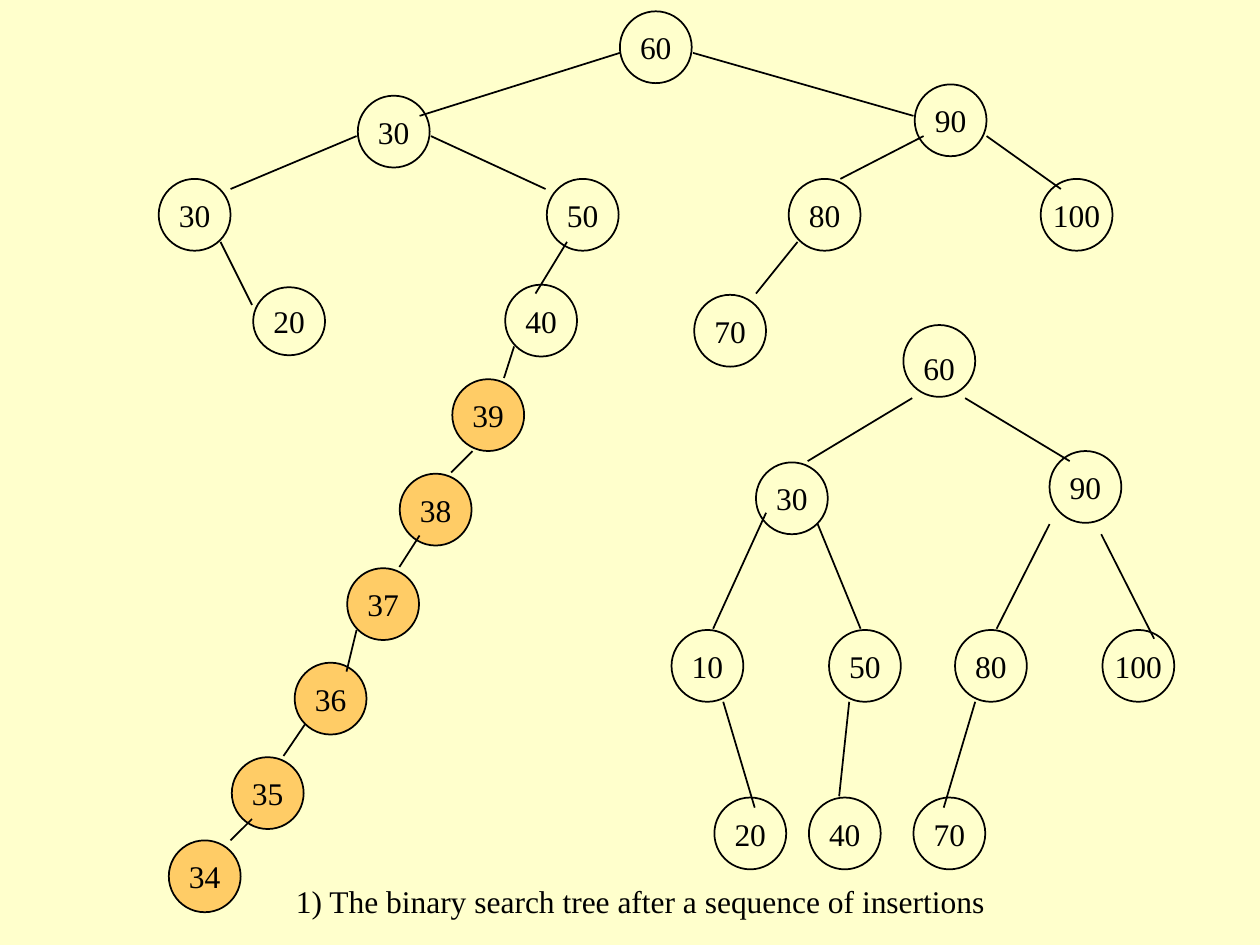
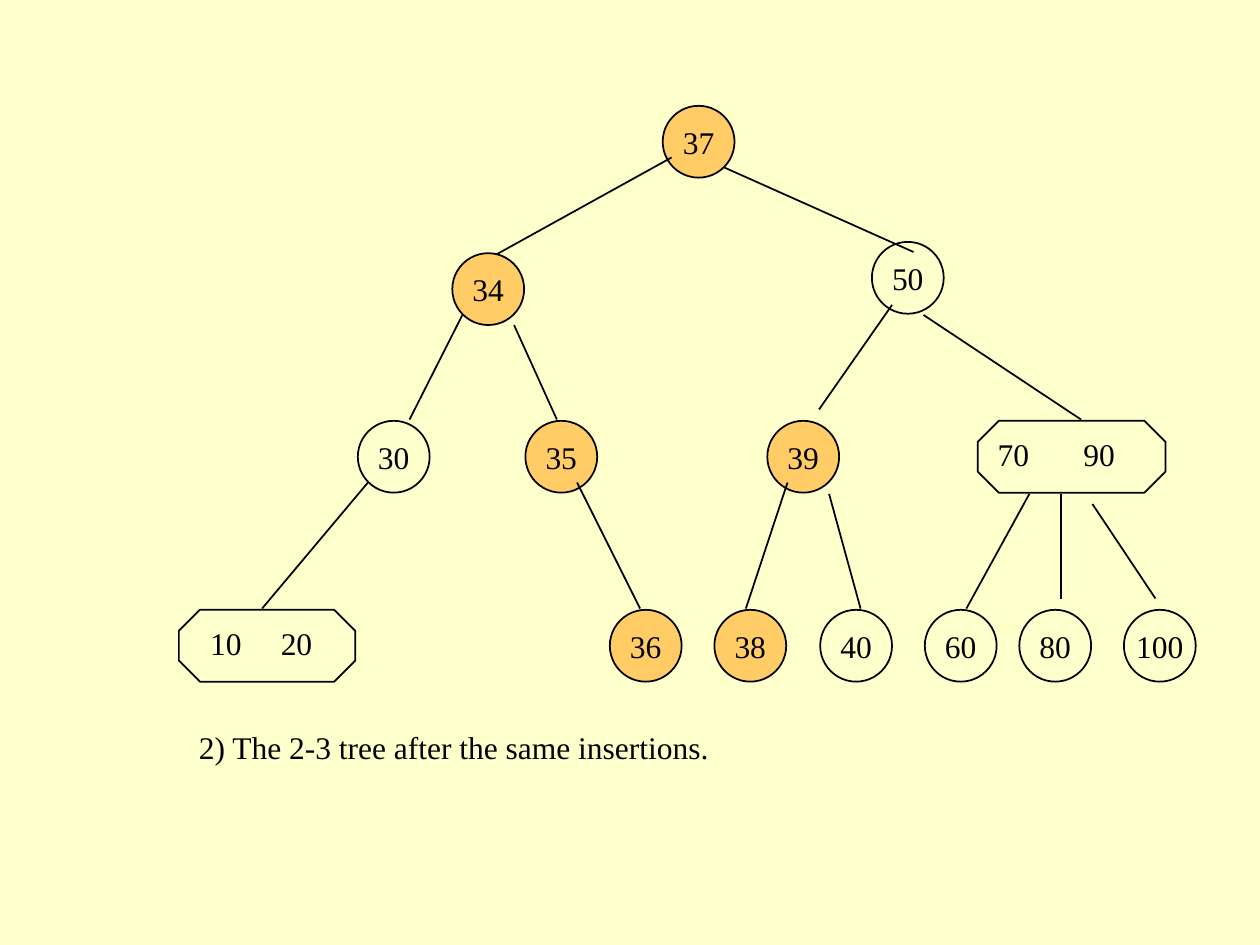
from lxml import etree
from pptx import Presentation
from pptx.dml.color import RGBColor
from pptx.enum import shapes as kinds, text as t
from pptx.oxml.ns import qn
from pptx.util import Inches, Pt

PAPER = RGBColor(0xFF, 0xFF, 0xCC)
INSERTED = RGBColor(0xFF, 0xCC, 0x66)
INK = RGBColor(0, 0, 0)
FONT = "Times New Roman"
NODE = 0.57
ELLIPSE = kinds.MSO_SHAPE.OVAL
OCTAGON = kinds.MSO_SHAPE.OCTAGON


def write(paragraph, words):
    """Add one run in the shared lettering."""
    run = paragraph.add_run()
    run.text = words
    run.font.name = FONT
    run.font.size = Pt(18)
    run.font.color.rgb = INK


def outline(parts, kind, left, top, width, height, fill=None):
    """Draw one tree node outline, filled when its key is newly inserted."""
    node = parts.add_shape(kind, *map(Inches, (left, top, width, height)))
    node.shadow.inherit = False
    if fill is None:
        node.fill.background()
    else:
        node.fill.solid()
        node.fill.fore_color.rgb = fill
    node.line.color.rgb = INK
    node.line.width = Pt(1)
    return node


def key_node(parts, left, top, key, fill=None, height=NODE):
    """Draw a round node holding one centred key."""
    node = outline(parts, ELLIPSE, left, top, NODE, height, fill)
    frame = node.text_frame
    frame.word_wrap = False
    frame.vertical_anchor = t.MSO_ANCHOR.MIDDLE
    frame.paragraphs[0].alignment = t.PP_ALIGN.CENTER
    if key:
        write(frame.paragraphs[0], key)


def branch(parts, x1, y1, x2, y2):
    """Draw one branch from parent to child."""
    line = parts.add_connector(kinds.MSO_CONNECTOR.STRAIGHT,
                               *map(Inches, (x1, y1, x2, y2)))
    line.line.color.rgb = INK
    line.line.width = Pt(1)
    etree.SubElement(line._element.spPr, qn("a:effectLst"))


def label(parts, left, top, width, height, words, tab=None):
    """Place free text, with an optional tab stop between two keys."""
    box = parts.add_textbox(*map(Inches, (left, top, width, height)))
    box.text_frame.word_wrap = True
    paragraph = box.text_frame.paragraphs[0]
    if tab:
        stops = etree.SubElement(paragraph._p.get_or_add_pPr(), qn("a:tabLst"))
        etree.SubElement(stops, qn("a:tab"), pos=str(Inches(tab)), algn="l")
    write(paragraph, words)


def pair_node(parts, left, top, width, keys, text_left, tab):
    """Draw a bevelled node holding two keys."""
    node = outline(parts, OCTAGON, left, top, width, NODE)
    node.adjustments[0] = 0.293
    label(parts, left + text_left, top + 0.06, width - text_left, 0.5,
          "\t".join(keys), tab)


def tree(parts, left, top, nodes, branches):
    """Draw nodes, then branches, measured from the tree's corner."""
    for x, y, *content in nodes:
        key_node(parts, left + x, top + y, *content)
    for x1, y1, x2, y2 in branches:
        branch(parts, left + x1, top + y1, left + x2, top + y2)


def search_tree_slide(deck):
    """Build the binary search tree beside its state before the insertions."""
    parts = deck.slides.add_slide(deck.slide_layouts[6]).shapes
    chain = [(3.59 - 0.417 * i, 3.01 + 0.75 * i, str(39 - i), INSERTED)
             for i in range(4)]
    grown_nodes = [
        (4.92, 0.09, "60"), (2.84, 0.76, "30"), (7.26, 0.67, "90"),
        (1.26, 1.42, "30"), (4.34, 1.42, "50"), (6.26, 1.42, "80"),
        (8.26, 1.42, "100"), (4.01, 2.26, "40"), (2.01, 2.28, "20", None, 0.54),
        (5.51, 2.34, "70"), *chain,
        (1.84, 6.01, "35", INSERTED), (1.34, 6.67, "34", INSERTED)]
    grown_branches = [
        (4.92, 0.42, 3.33, 0.92), (5.5, 0.42, 7.25, 0.92),
        (2.83, 1.08, 1.83, 1.5), (1.75, 1.92, 2, 2.42),
        (3.42, 1.08, 4.33, 1.5), (4.5, 1.92, 4.25, 2.33),
        (4.08, 2.75, 4, 3), (3.75, 3.58, 3.58, 3.75),
        (3.33, 4.25, 3.17, 4.5), (2.83, 5, 2.75, 5.33),
        (2.42, 5.75, 2.25, 6), (2, 6.5, 1.83, 6.67),
        (7.33, 1.08, 6.67, 1.42), (7.83, 1.08, 8.42, 1.5),
        (6.33, 1.92, 6, 2.33)]
    tree(parts, 0, 0, grown_nodes, grown_branches)
    label(parts, 2.25, 6.95, 7.07, 0.4,
          "1) The binary search tree after a sequence of insertions")

    first_nodes = [
        (1.84, 0, ""), (0.67, 1.09, "30"), (3, 1, "90"),
        (0, 2.42, "10"), (1.25, 2.42, "50"), (2.25, 2.42, "80"),
        (3.42, 2.42, "100"),
        (0.34, 3.75, "20"), (1.09, 3.75, "40"), (1.92, 3.75, "70")]
    first_branches = [
        (1.91, 0.58, 1.08, 1.08), (2.33, 0.58, 3.16, 1.08),
        (0.75, 1.49, 0.33, 2.41), (1.16, 1.58, 1.5, 2.41),
        (3, 1.58, 2.58, 2.41), (3.41, 1.66, 3.83, 2.49),
        (0.41, 2.99, 0.66, 3.83), (1.41, 2.99, 1.33, 3.74),
        (2.41, 2.99, 2.16, 3.83)]
    first = parts.add_group_shape().shapes
    tree(first, 5.33, 2.58, first_nodes, first_branches)
    label(first, 7.23, 2.72, 0.53, 0.5, "60")


def two_three_tree_slide(deck):
    """Build the 2-3 tree holding the same keys."""
    parts = deck.slides.add_slide(deck.slide_layouts[6]).shapes
    tree(parts, 0, 0, [(5.26, 0.84, "37", INSERTED)],
         [(5.33, 1.25, 3.83, 2.08), (5.75, 1.33, 7.25, 2)])
    middle, leaf = 3.34, 4.84
    nodes = [
        (3.59, 2.01, "34", INSERTED), (6.92, 1.92, "50"),
        (2.84, middle, "30"), (4.17, middle, "35", INSERTED),
        (6.09, middle, "39", INSERTED),
        (4.84, leaf, "36", INSERTED), (5.67, leaf, "38", INSERTED),
        (6.51, leaf, "40"), (7.34, leaf, "60"), (8.09, leaf, "80"),
        (8.92, leaf, "100")]
    branches = [
        (3.67, 2.5, 3.25, 3.33), (4.08, 2.58, 4.42, 3.33),
        (7.08, 2.42, 6.5, 3.25), (7.33, 2.5, 8.58, 3.33),
        (2.92, 3.83, 2.08, 4.83), (4.58, 3.83, 5.08, 4.83),
        (6.25, 3.83, 5.92, 4.83), (6.58, 3.92, 6.83, 4.83),
        (8.17, 3.92, 7.67, 4.83), (8.42, 3.92, 8.42, 4.75),
        (8.67, 4, 9.17, 4.75)]
    tree(parts, 0, 0, nodes, branches)
    pair_node(parts, 7.76, middle, 1.49, ("70", "90"), 0.06, 0.68)
    pair_node(parts, 1.42, leaf, 1.4, ("10", "20"), 0.15, 0.56)
    label(parts, 1.48, 5.73, 5.61, 0.5,
          "2) The 2-3 tree after the same insertions.")


def main():
    """Set up the shared page, build both slides and save."""
    deck = Presentation()
    deck.slide_width, deck.slide_height = Inches(10), Inches(7.5)
    paper = deck.slide_master.background.fill
    paper.solid()
    paper.fore_color.rgb = PAPER
    search_tree_slide(deck)
    two_three_tree_slide(deck)
    deck.save("out.pptx")


main()
